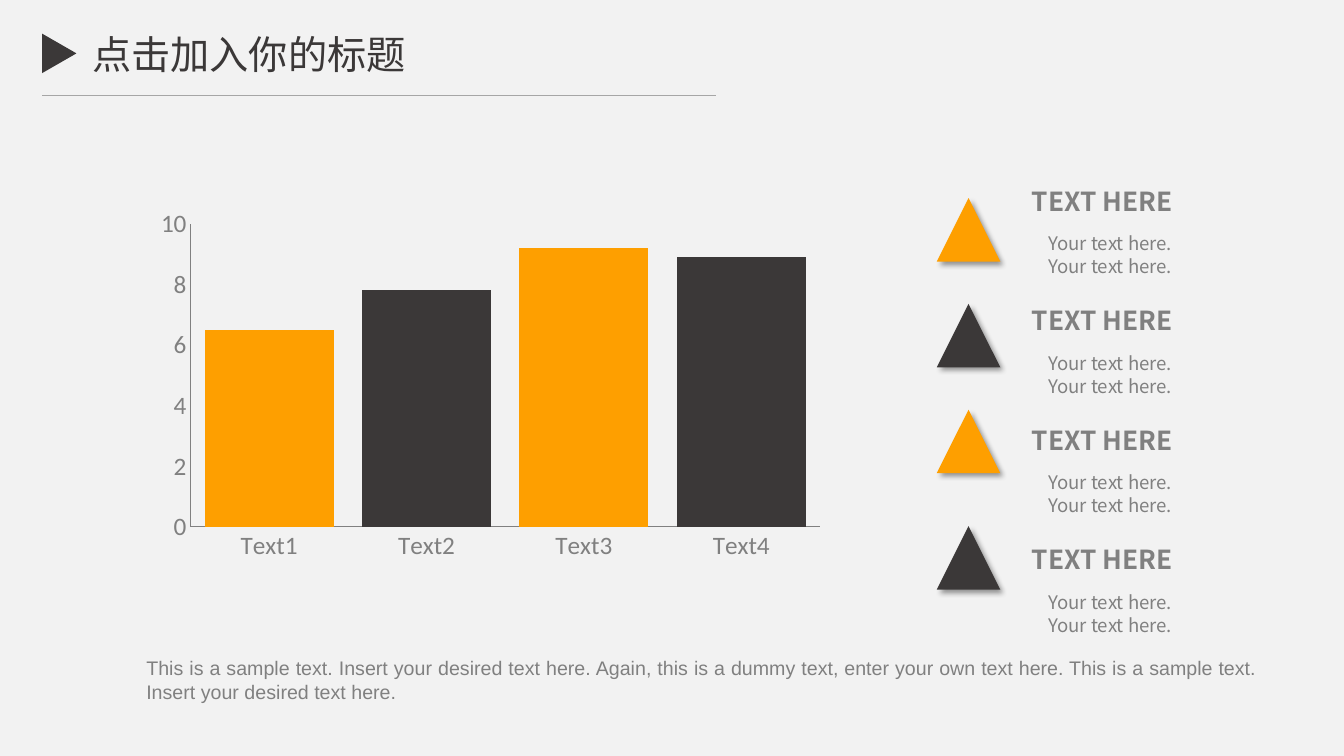
import lxml.etree
import pptx
import pptx.chart.data
import pptx.dml.color
import pptx.enum.chart
import pptx.enum.shapes
import pptx.enum.text
import pptx.oxml
import pptx.oxml.ns
import pptx.util

Align = pptx.enum.text.PP_ALIGN
Anchor = pptx.enum.text.MSO_ANCHOR
qn = pptx.oxml.ns.qn

ORANGE, DARK, GREY, RULE, PAPER = "FE9F00", "3B3838", "808080", "A6A6A6", "F2F2F2"
SANS = "Noto Sans CJK SC"


def color(value):
    return pptx.dml.color.RGBColor.from_string(value)


def add_element(parent, tag, **attributes):
    child = lxml.etree.SubElement(parent, qn(tag))
    for key, value in attributes.items():
        child.set(key, str(value))
    return child


def write(frame, text, size=14, font=SANS, ink=GREY, bold=False,
          align=Align.LEFT, spacing=None):
    for index, line in enumerate(text.split("\n")):
        para = frame.add_paragraph() if index else frame.paragraphs[0]
        para.alignment = align
        if spacing:
            para.line_spacing = pptx.util.Pt(spacing)
        span = para.add_run()
        span.text = line
        span.font.name = font
        span.font.size = pptx.util.Pt(size)
        span.font.bold = bold
        span.font.color.rgb = color(ink)
        add_element(span.font._element, "a:ea", typeface=font)


class Canvas:
    """Places elements on a grid of 100 columns and 100 rows."""

    def __init__(self, deck):
        self.column = deck.slide_width / 100
        self.row = deck.slide_height / 100
        self.page = deck.slides.add_slide(deck.slide_layouts[5])
        fill = self.page.background.fill
        fill.solid()
        fill.fore_color.rgb = color(PAPER)

    def area(self, left, top, width, height):
        return (round(left * self.column), round(top * self.row),
                round(width * self.column), round(height * self.row))

    def title(self, text, *place):
        box = self.page.shapes.title
        box.left, box.top, box.width, box.height = self.area(*place)
        frame = box.text_frame
        frame.margin_left = frame.margin_right = 0
        frame.margin_top = frame.margin_bottom = 0
        frame.word_wrap = False
        frame.auto_size = pptx.enum.text.MSO_AUTO_SIZE.NONE
        frame.vertical_anchor = Anchor.MIDDLE
        write(frame, text, size=28, ink=DARK, align=Align.CENTER)

    def text(self, text, *place, margin=0.05, **style):
        frame = self.page.shapes.add_textbox(*self.area(*place)).text_frame
        frame.word_wrap = True
        frame.margin_top = frame.margin_bottom = pptx.util.Inches(margin)
        write(frame, text, **style)

    def triangle(self, fill, *place, rotation=0, shadow=False):
        shape = self.page.shapes.add_shape(
            pptx.enum.shapes.MSO_SHAPE.ISOSCELES_TRIANGLE, *self.area(*place))
        shape.rotation = rotation
        shape.shadow.inherit = False
        shape.fill.solid()
        shape.fill.fore_color.rgb = color(fill)
        shape.line.fill.background()
        if shadow:
            effects = shape._element.spPr.find(qn("a:effectLst"))
            outer = add_element(effects, "a:outerShdw", blurRad=pptx.util.Pt(4),
                                dist=pptx.util.Pt(3), dir=45 * 60000,
                                algn="tl", rotWithShape=0)
            black = add_element(outer, "a:srgbClr", val="000000")
            add_element(black, "a:alpha", val=40000)

    def rule(self, left, right, height):
        start, y, end, _ = self.area(left, height, right, 0)
        line = self.page.shapes.add_connector(
            pptx.enum.shapes.MSO_CONNECTOR.STRAIGHT, start, y, end, y)
        line.line.width = pptx.util.Pt(0.5)
        line.line.color.rgb = color(RULE)
        add_element(line._element.spPr, "a:effectLst")

    def columns(self, values, fills, *place):
        data = pptx.chart.data.CategoryChartData()
        data.categories = list(values)
        data.add_series("Series 1", values.values())
        chart = self.page.shapes.add_chart(
            pptx.enum.chart.XL_CHART_TYPE.COLUMN_CLUSTERED,
            *self.area(*place), data).chart
        chart.has_legend = False
        chart.has_title = False
        chart.font.name = "Calibri"
        chart.font.size = pptx.util.Pt(18)
        chart.font.color.rgb = color(GREY)
        for axis in (chart.category_axis, chart.value_axis):
            axis.has_major_gridlines = False
            axis.major_tick_mark = pptx.enum.chart.XL_TICK_MARK.NONE
            axis.minor_tick_mark = pptx.enum.chart.XL_TICK_MARK.NONE
            axis.format.line.color.rgb = color(GREY)
            axis.format.line.width = pptx.util.Pt(0.75)
        chart.value_axis.minimum_scale = 0
        chart.value_axis.maximum_scale = 10
        chart.value_axis.major_unit = 2
        plot = chart.plots[0]
        plot.vary_by_categories = False
        plot.gap_width = 22
        plot.overlap = -3
        for index, fill in enumerate(fills):
            bar = plot.series[0].points[index].format.fill
            bar.solid()
            bar.fore_color.rgb = color(fill)
        self.plot_layout(chart, x=0.07, y=0.03, w=0.93, h=0.76)

    def plot_layout(self, chart, **shares):
        area = chart._chartSpace.chart.plotArea
        layout = area.find(qn("c:layout"))
        if layout is None:
            layout = pptx.oxml.parse_xml(
                f"<c:layout {pptx.oxml.ns.nsdecls('c')}/>")
            area.insert(0, layout)
        manual = add_element(layout, "c:manualLayout")
        add_element(manual, "c:layoutTarget", val="inner")
        for side in "xy":
            add_element(manual, f"c:{side}Mode", val="edge")
        for side, share in shares.items():
            add_element(manual, f"c:{side}", val=share)


def main():
    deck = pptx.Presentation()
    deck.slide_width = pptx.util.Inches(13.33)
    deck.slide_height = pptx.util.Inches(7.5)
    canvas = Canvas(deck)

    canvas.title("点击加入你的标题", 4.42, 4, 28.2, 6.27)
    canvas.triangle(DARK, 2.95, 4.8, 2.93, 4.53, rotation=90)
    canvas.rule(3.15, 53.25, 12.67)

    fills = [ORANGE, DARK] * 2
    scores = {"Text1": 6.5, "Text2": 7.8, "Text3": 9.2, "Text4": 8.9}
    canvas.columns(scores, fills, 10.65, 27.6, 50.4, 53.2)

    marker_tops = [26.2, 40.2, 54.2, 69.6]
    for index, (fill, top) in enumerate(zip(fills, marker_tops)):
        canvas.triangle(fill, 69.7, top, 4.73, 8.4, shadow=True)
        drop = index * 15.8
        canvas.text("TEXT HERE", 76.05, 23.73 + drop, 18.1, 5.6,
                    size=18.7, bold=True, spacing=23)
        canvas.text("Your text here.\nYour text here.", 77.25, 30 + drop,
                    18.1, 7.33, size=13.3, spacing=16.4)

    canvas.text("This is a sample text. Insert your desired text here. Again, "
                "this is a dummy text, enter your own text here. This is a "
                "sample text. Insert your desired text here.",
                10.15, 86.8, 84.15, 13.2, margin=0, font="Arial",
                align=Align.JUSTIFY)
    deck.save("out.pptx")


if __name__ == "__main__":
    main()
